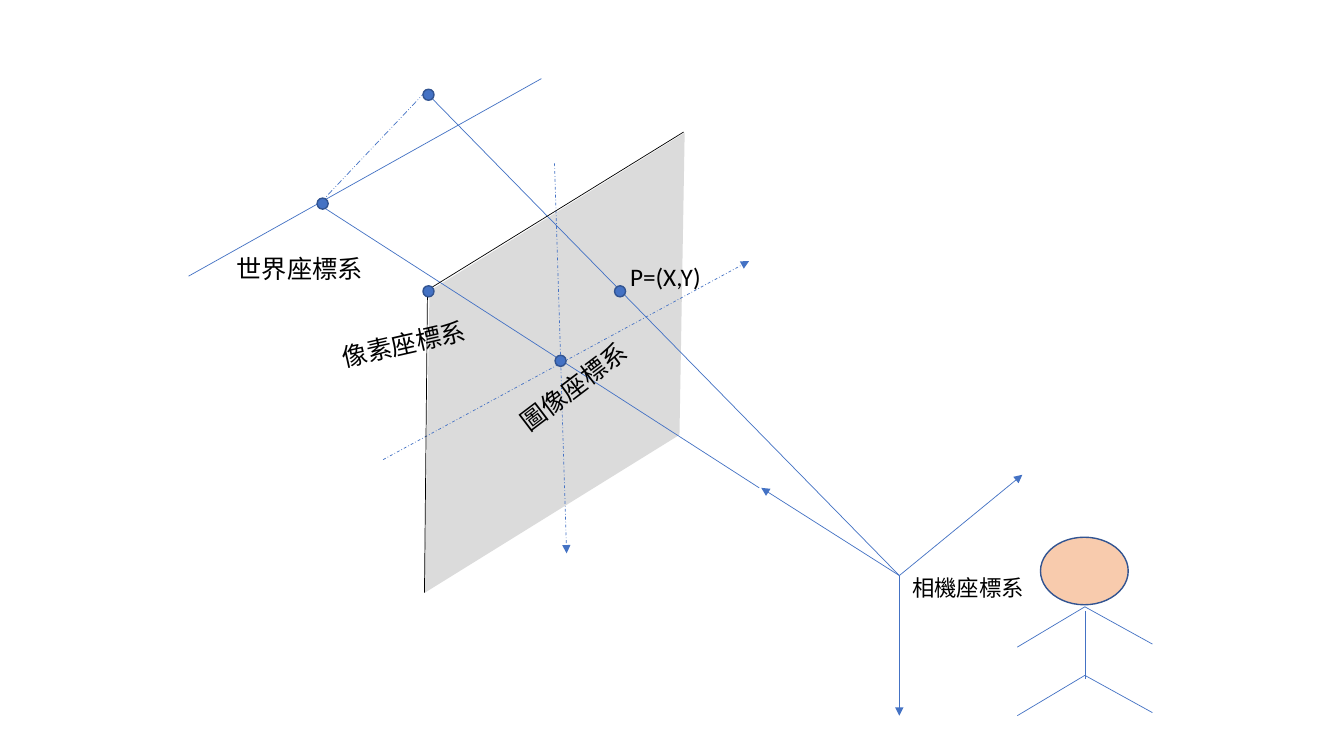
from dataclasses import dataclass

from lxml.etree import SubElement as Sub
from pptx import Presentation
from pptx.dml.color import RGBColor as RGB
from pptx.enum.dml import MSO_LINE as Dash
from pptx.enum.shapes import MSO_CONNECTOR as Link, MSO_SHAPE as Form
from pptx.enum.text import MSO_AUTO_SIZE as Fit
from pptx.oxml.ns import qn
from pptx.util import Inches, Pt


@dataclass(frozen=True)
class Theme:
    blue: str = "4472C4"
    rim: str = "325491"
    gray: str = "DBDBDB"
    skin: str = "F8CBAD"
    ink: str = "000000"
    latin: str = "Calibri"
    han: str = "Noto Sans CJK SC"
    big: int = 18
    small: int = 16
    thin: float = 0.5
    edge: float = 1
    dot: float = 0.11


@dataclass(frozen=True)
class Box:
    """A region whose grid of one-inch columns and rows starts at left, top."""
    left: float
    top: float

    def at(self, col, row):
        return Inches(self.left + col), Inches(self.top + row)


T = Theme()


# Drawing helpers
def line(slide, box, start, end, color=T.blue, dash=None, arrow=False):
    link = slide.shapes.add_connector(
        Link.STRAIGHT, *box.at(*start), *box.at(*end))
    link.line.color.rgb = RGB.from_string(color)
    link.line.width = Pt(T.thin)
    if dash:
        link.line.dash_style = dash
    props = link._element.spPr
    if arrow:
        Sub(props.find(qn("a:ln")), qn("a:tailEnd"), type="triangle")
    Sub(props, qn("a:effectLst"))


def shape(slide, box, form, place, size, fill, rim=None):
    item = slide.shapes.add_shape(
        form, *box.at(*place), *map(Inches, size))
    item.shadow.inherit = False
    item.fill.solid()
    item.fill.fore_color.rgb = RGB.from_string(fill)
    if rim:
        item.line.color.rgb = RGB.from_string(rim)
        item.line.width = Pt(T.edge)
    else:
        item.line.fill.background()
    return item


def dot(slide, box, col, row):
    half = T.dot / 2
    shape(slide, box, Form.OVAL, (col - half, row - half),
          (T.dot, T.dot), T.blue, T.rim)


def label(slide, box, place, text, size=T.big, face=T.han,
          width=1.46, wrap=False, turn=0):
    item = slide.shapes.add_textbox(
        *box.at(*place), Inches(width), Inches(0.4 * size / T.big))
    item.rotation = turn
    frame = item.text_frame
    frame.text = text
    frame.word_wrap = wrap
    frame.auto_size = Fit.SHAPE_TO_FIT_TEXT
    run = frame.paragraphs[0].runs[0]
    run.font.size = Pt(size)
    run.font.name = face
    run.font.color.rgb = RGB.from_string(T.ink)
    Sub(run._r.get_or_add_rPr(), qn("a:ea"), typeface=face)


# Camera frame: three axes leaving the eye point
def camera(slide, box):
    for tip in ((1.22, -1), (-1.37, -0.87), (0, 1.39)):
        line(slide, box, (0, 0), tip, arrow=True)
    label(slide, box, (0.03, -0.06), "相機座標系", T.small,
          width=1.67, wrap=True)


# Tilted sheet of the image plane
def sheet(slide, box):
    item = shape(slide, box, Form.PARALLELOGRAM, (-0.6, 1.04),
                 (4.6, 2.52), T.gray)
    item.adjustments[0] = 0.644
    item.rotation = 328.2


# Sight rays from the eye point to the world
def rays(slide, box):
    line(slide, box, (-1.39, -0.87), (-5.77, -3.69))
    line(slide, box, (0, 0), (-4.7, -4.8))


# Axes, edges, points and labels on the image plane
def plane(slide, box):
    for start, end in (((0, 3.26), (3.63, 1.29)), ((1.7, 0.32), (1.82, 4.19))):
        line(slide, box, start, end, dash=Dash.DASH_DOT, arrow=True)
    for start, end in (((2.98, 0.01), (0.42, 1.59)),
                       ((0.44, 1.59), (0.41, 4.58))):
        line(slide, box, start, end, T.ink)
    for spot in ((2.35, 1.59), (1.76, 2.28), (0.45, 1.59)):
        dot(slide, box, *spot)
    label(slide, box, (2.35, 1.24), "P=(X,Y)", face=T.latin,
          width=2.02, wrap=True)
    label(slide, box, (-0.52, 1.91), "像素座標系", turn=347.2)
    label(slide, box, (1.16, 2.33), "圖像座標系", turn=322.7)


# World frame: axis, two points and the link between them
def world(slide, box):
    line(slide, box, (0, 1.96), (3.5, 0))
    line(slide, box, (2.35, 0.13), (1.3, 1.24), dash=Dash.DASH_DOT_DOT)
    for spot in ((2.38, 0.16), (1.33, 1.24)):
        dot(slide, box, *spot)
    label(slide, box, (0.38, 1.68), "世界座標系")


# Stick figure of the viewer
def person(slide, box):
    mid = 0.67
    shape(slide, box, Form.OVAL, (0.23, 0), (0.87, 0.67), T.skin, T.rim)
    line(slide, box, (mid, 0.73), (mid, 1.41))
    for joint in (0.69, 1.37):
        line(slide, box, (mid, joint), (0, joint + 0.4))
        line(slide, box, (mid, joint), (2 * mid, joint + 0.37))


def main():
    deck = Presentation()
    deck.slide_width, deck.slide_height = Inches(13.33), Inches(7.5)
    slide = deck.slides.add_slide(deck.slide_layouts[6])
    eye, image = Box(8.92, 5.71), Box(3.8, 1.3)
    camera(slide, eye)
    sheet(slide, image)
    rays(slide, eye)
    plane(slide, image)
    world(slide, Box(1.87, 0.78))
    person(slide, Box(10.09, 5.33))
    deck.save("out.pptx")


if __name__ == "__main__":
    main()
